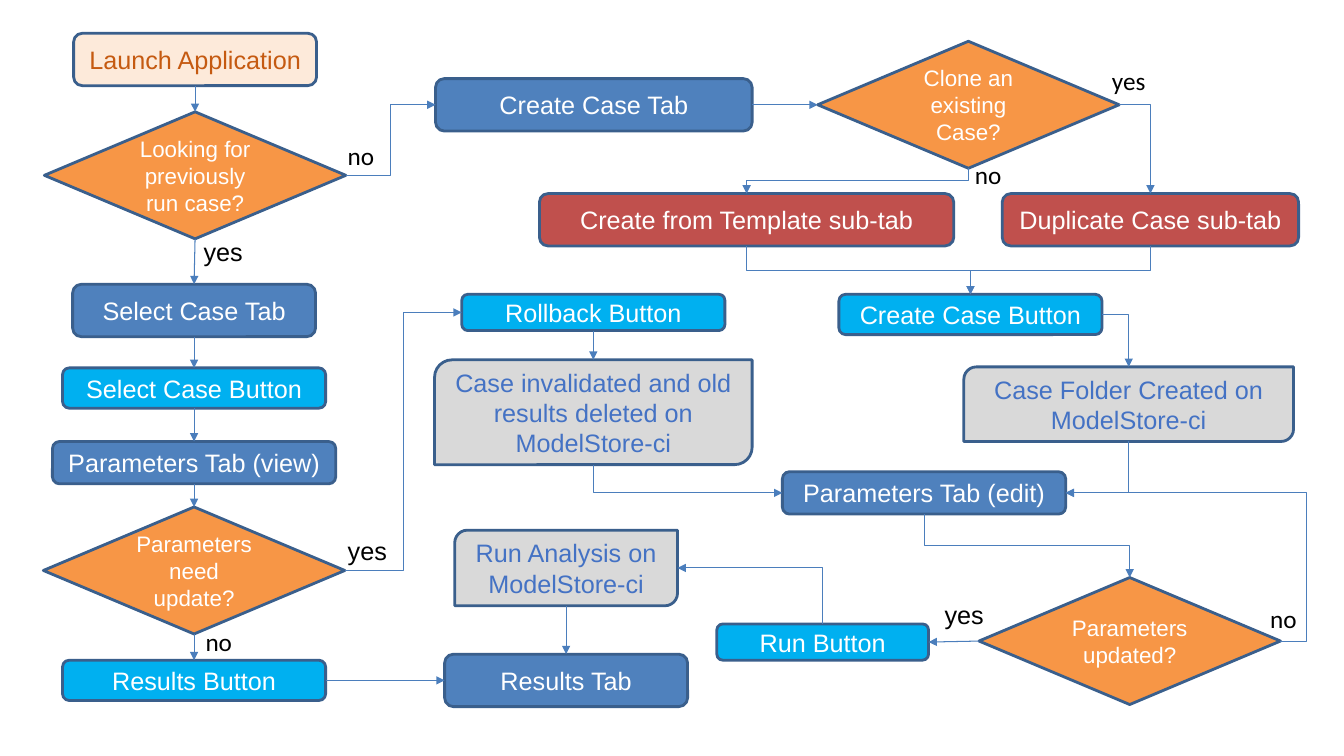
from lxml import etree
from pptx import Presentation
from pptx import util as u
from pptx.dml.color import RGBColor
from pptx.enum import shapes, text
from pptx.oxml import ns

WHITE = RGBColor(0xFF, 0xFF, 0xFF)
BLACK = RGBColor(0x00, 0x00, 0x00)
NAVY = RGBColor(0x3A, 0x5F, 0x8C)
ARROW_BLUE = RGBColor(0x4B, 0x7E, 0xBC)
TAB_BLUE = RGBColor(0x4F, 0x81, 0xBD)
BUTTON_BLUE = RGBColor(0x00, 0xB0, 0xF0)
SUBTAB_RED = RGBColor(0xC0, 0x50, 0x4D)
DECISION_ORANGE = RGBColor(0xF7, 0x96, 0x46)
START_PEACH = RGBColor(0xFD, 0xEA, 0xDA)
START_BROWN = RGBColor(0xC5, 0x5A, 0x11)
STATE_GREY = RGBColor(0xD9, 0xD9, 0xD9)
STATE_BLUE = RGBColor(0x44, 0x72, 0xC4)

ROUNDED = shapes.MSO_SHAPE.ROUNDED_RECTANGLE
DIAMOND = shapes.MSO_SHAPE.DIAMOND
CUT_ROUND = shapes.MSO_SHAPE.ROUND_2_DIAG_RECTANGLE

SIDES = ("top", "left", "bottom", "right")
CUT_ROUND_SIDES = ("right", "bottom", "left", "top")


def write(frame, words, size=18, color=WHITE, font="Arial", align=text.PP_ALIGN.CENTER):
    frame.word_wrap = True
    for index, line in enumerate(words.split("\n")):
        para = frame.paragraphs[0] if index == 0 else frame.add_paragraph()
        para.alignment = align
        span = para.add_run()
        span.text = line
        span.font.size = u.Pt(size)
        span.font.name = font
        span.font.color.rgb = color


def add_node(page, words, left, top, width, height, fill, kind=ROUNDED, **style):
    box = page.shapes.add_shape(kind, *map(u.Inches, (left, top, width, height)))
    box.shadow.inherit = False
    box.fill.solid()
    box.fill.fore_color.rgb = fill
    box.line.color.rgb = NAVY
    box.line.width = u.Pt(2)
    box.text_frame.vertical_anchor = text.MSO_ANCHOR.MIDDLE
    write(box.text_frame, words, **style)
    return box


def add_tab(page, words, left, top, width=2.41, height=0.52, fill=TAB_BLUE):
    return add_node(page, words, left, top, width, height, fill)


def add_button(page, words, left, top, width=2.61, height=0.4):
    return add_node(page, words, left, top, width, height, BUTTON_BLUE)


def add_decision(page, words, left, top):
    return add_node(page, words, left, top, 2.99, 1.26, DECISION_ORANGE, DIAMOND, size=16)


def add_state(page, words, left, top, width, height):
    return add_node(page, words, left, top, width, height, STATE_GREY, CUT_ROUND,
                    color=STATE_BLUE)


def add_label(page, words, left, top, font="Arial"):
    box = page.shapes.add_textbox(*map(u.Inches, (left, top, 0.62, 0.4)))
    write(box.text_frame, words, color=BLACK, font=font, align=text.PP_ALIGN.LEFT)


def side_point(box, side):
    across = {"left": 0, "right": box.width}.get(side, box.width // 2)
    down = {"top": 0, "bottom": box.height}.get(side, box.height // 2)
    return box.left + across, box.top + down


def site_index(box, side):
    order = CUT_ROUND_SIDES if box.auto_shape_type == CUT_ROUND else SIDES
    return order.index(side)


def add_arrow(page, start, start_side, end, end_side, elbow=False, adjust=None):
    x1, y1 = side_point(start, start_side)
    x2, y2 = side_point(end, end_side)
    kind = shapes.MSO_CONNECTOR.ELBOW if elbow else shapes.MSO_CONNECTOR.STRAIGHT
    arrow = page.shapes.add_connector(kind, x1, y1, x2, y2)
    arrow.begin_connect(start, site_index(start, start_side))
    arrow.end_connect(end, site_index(end, end_side))
    arrow.line.color.rgb = ARROW_BLUE
    arrow.line.width = u.Pt(0.75)
    properties = arrow._element.spPr
    etree.SubElement(properties.find(ns.qn("a:ln")), ns.qn("a:tailEnd"), type="triangle")
    etree.SubElement(properties, ns.qn("a:effectLst"))
    place_arrow(arrow, x1, y1, x2, y2, elbow and start_side in ("top", "bottom"))
    if elbow:
        shape_elbow(properties, start_side, end_side, adjust)


def place_arrow(arrow, x1, y1, x2, y2, vertical_first):
    width, height = abs(x2 - x1), abs(y2 - y1)
    flips = {"flipH": x2 < x1, "flipV": y2 < y1}
    turn = 0
    if vertical_first:
        width, height = height, width
        down_left = y2 > y1 and x2 < x1
        turn = 90 if down_left else 270
        flips = {"flipH": y2 > y1 and not down_left, "flipV": x2 < x1 and not down_left}
    arrow.left, arrow.top = (x1 + x2 - width) // 2, (y1 + y2 - height) // 2
    arrow.width, arrow.height = width, height
    frame = arrow._element.spPr.find(ns.qn("a:xfrm"))
    frame.set("rot", str(turn * 60000))
    for name, flipped in flips.items():
        frame.set(name, str(int(flipped)))


def shape_elbow(properties, start_side, end_side, adjust):
    geometry = properties.find(ns.qn("a:prstGeom"))
    same_axis = SIDES.index(start_side) % 2 == SIDES.index(end_side) % 2
    geometry.set("prst", "bentConnector3" if same_axis else "bentConnector2")
    if adjust is not None:
        guides = geometry.find(ns.qn("a:avLst"))
        etree.SubElement(guides, ns.qn("a:gd"), name="adj1", fmla=f"val {round(adjust * 100000)}")


def main():
    deck = Presentation()
    deck.slide_width, deck.slide_height = u.Inches(13.33), u.Inches(7.5)
    page = deck.slides.add_slide(deck.slide_layouts[6])

    launch = add_node(page, "Launch Application", 0.73, 0.33, 2.41, 0.52, START_PEACH,
                      color=START_BROWN)
    previous = add_decision(page, "Looking for previously run case?", 0.44, 1.11)
    select_tab = add_tab(page, "Select Case Tab", 0.72, 2.82)
    select_button = add_button(page, "Select Case Button", 0.62, 3.65)
    view = add_tab(page, "Parameters Tab (view)", 0.52, 4.38, 2.81, 0.42)
    need_update = add_decision(page, "Parameters need update?", 0.43, 5.03)
    results_button = add_button(page, "Results Button", 0.62, 6.55)

    create_tab = add_tab(page, "Create Case Tab", 4.32, 0.78, 3.14)
    clone = add_decision(page, "Clone an existing Case?", 8.11, 0.41)
    template = add_tab(page, "Create from Template sub-tab", 5.35, 1.92, 4.11, fill=SUBTAB_RED)
    duplicate = add_tab(page, "Duplicate Case sub-tab", 9.94, 1.92, 2.94, fill=SUBTAB_RED)
    create_button = add_button(page, "Create Case Button", 8.32, 2.92)
    folder = add_state(page, "Case Folder Created on\nModelStore-ci", 9.56, 3.64, 3.27, 0.74)

    rollback = add_button(page, "Rollback Button", 4.58, 2.92, height=0.36)
    invalidated = add_state(page, "Case invalidated and old results deleted on ModelStore-ci",
                            4.31, 3.57, 3.15, 1.04)
    edit = add_tab(page, "Parameters Tab (edit)", 7.76, 4.68, 2.81, 0.42)
    updated = add_decision(page, "Parameters updated?", 9.71, 5.73)
    run_button = add_button(page, "Run Button", 7.11, 6.19, 2.1, 0.36)
    analysis = add_state(page, "Run Analysis on\nModelStore-ci", 4.51, 5.26, 2.21, 0.75)
    results_tab = add_tab(page, "Results Tab", 4.41, 6.49)

    main_column = (launch, previous, select_tab, select_button, view, need_update, results_button)
    falls = list(zip(main_column, main_column[1:]))
    for upper, lower in falls + [(rollback, invalidated), (analysis, results_tab)]:
        add_arrow(page, upper, "bottom", lower, "top")
    add_arrow(page, create_tab, "right", clone, "left")
    add_arrow(page, results_button, "right", results_tab, "left")
    add_arrow(page, updated, "left", run_button, "right")

    for start, start_side, end, end_side in (
        (previous, "right", create_tab, "left"),
        (clone, "bottom", template, "top"),
        (clone, "right", duplicate, "top"),
        (template, "bottom", create_button, "top"),
        (duplicate, "bottom", create_button, "top"),
        (create_button, "right", folder, "top"),
        (need_update, "right", rollback, "left"),
        (invalidated, "bottom", edit, "left"),
        (folder, "bottom", edit, "right"),
        (edit, "bottom", updated, "top"),
        (run_button, "top", analysis, "right"),
    ):
        add_arrow(page, start, start_side, end, end_side, elbow=True)
    add_arrow(page, updated, "right", edit, "right", elbow=True, adjust=-0.12)

    for left, top in ((1.92, 2.3), (3.35, 5.26), (9.27, 5.9)):
        add_label(page, "yes", left, top)
    add_label(page, "yes", 10.93, 0.6, font="Calibri")
    for left, top in ((3.35, 1.34), (9.57, 1.53), (1.94, 6.16), (12.5, 5.94)):
        add_label(page, "no", left, top, font="Calibri")

    deck.save("out.pptx")


if __name__ == "__main__":
    main()
